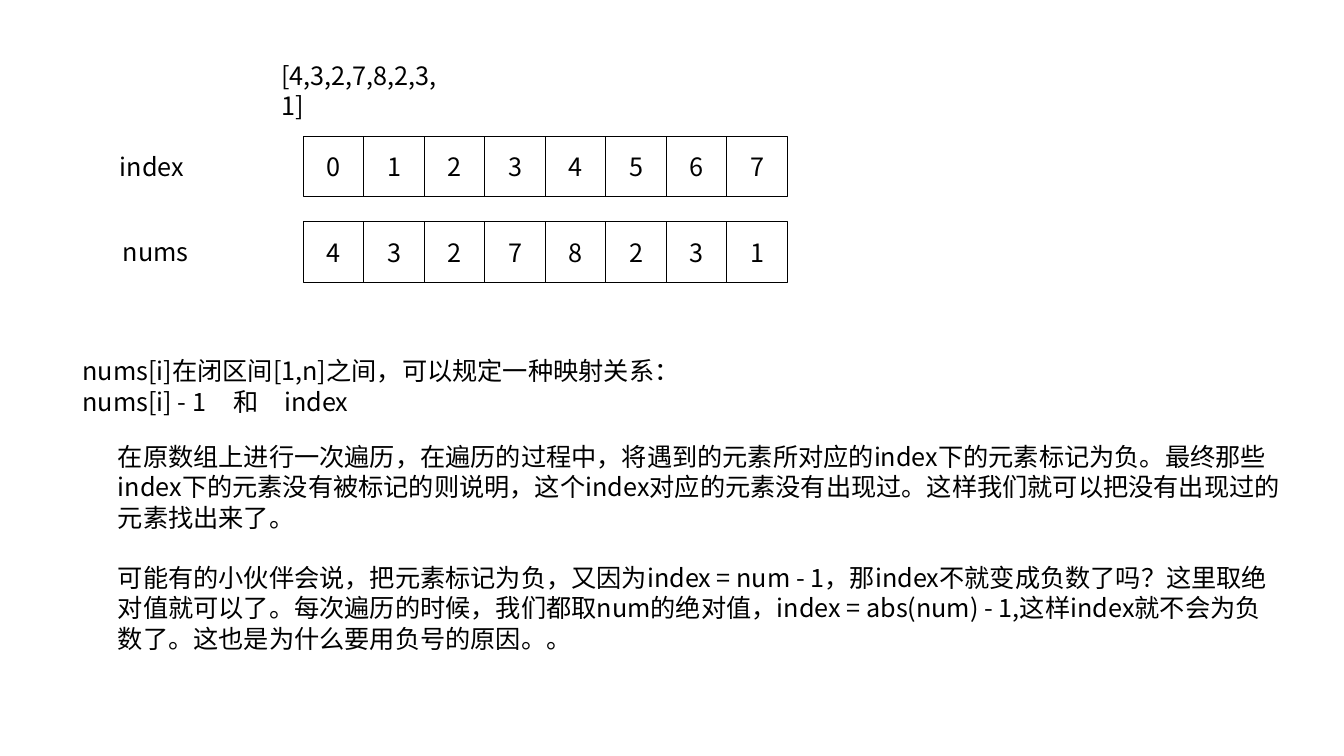
from dataclasses import dataclass

from lxml.etree import SubElement
from pptx import Presentation
from pptx.dml.color import RGBColor
from pptx.enum.shapes import MSO_SHAPE
from pptx.enum.text import MSO_ANCHOR, PP_ALIGN
from pptx.oxml.ns import qn
from pptx.util import Inches, Pt


@dataclass(frozen=True)
class Theme:
    """Colours, font and type sizes of the slide."""
    ink: RGBColor = RGBColor(0, 0, 0)
    font: str = "Noto Sans CJK SC"
    size: Pt = Pt(18)
    leading: Pt = Pt(21.6)
    border: Pt = Pt(0.75)


THEME = Theme()
NUMS = [4, 3, 2, 7, 8, 2, 3, 1]
CELL = 0.6
ARRAY_LEFT = 3.01
INDEX_TOP, NUMS_TOP = 1.35, 2.2

MAPPING = [
    "nums[i]在闭区间[1,n]之间，可以规定一种映射关系：",
    "nums[i] - 1\t和\tindex",
]
EXPLANATION = [
    "在原数组上进行一次遍历，在遍历的过程中，将遇到的元素所对应的index下的元素标记为负。"
    "最终那些index下的元素没有被标记的则说明，这个index对应的元素没有出现过。"
    "这样我们就可以把没有出现过的元素找出来了。",
    "可能有的小伙伴会说，把元素标记为负，又因为index = num - 1，那index不就变成负数了吗？"
    "这里取绝对值就可以了。每次遍历的时候，我们都取num的绝对值，"
    "index = abs(num) - 1,这样index就不会为负数了。这也是为什么要用负号的原因。。",
]


def add_run(paragraph, words):
    """Add one run in the theme's type, for Latin and Chinese alike."""
    paragraph.line_spacing = THEME.leading
    run = paragraph.add_run()
    run.text = words
    run.font.size = THEME.size
    run.font.name = THEME.font
    run.font.color.rgb = THEME.ink
    SubElement(run.font._element, qn("a:ea"), typeface=THEME.font)


def add_tab_stops(paragraph, *stops):
    """Set left tab stops, in inches from the text edge."""
    tabs = SubElement(paragraph._p.get_or_add_pPr(), qn("a:tabLst"))
    for stop in stops:
        SubElement(tabs, qn("a:tab"), pos=str(Inches(stop)), algn="l")


def add_text(slide, left, top, width, height, lines, gap=Pt(0)):
    """Add a wrapping text box with one paragraph per line; return its frame."""
    box = slide.shapes.add_textbox(
        Inches(left), Inches(top), Inches(width), Inches(height))
    frame = box.text_frame
    frame.word_wrap = True
    for number, line in enumerate(lines):
        paragraph = frame.add_paragraph() if number else frame.paragraphs[0]
        if number:
            paragraph.space_before = gap
        add_run(paragraph, line)
    return frame


def add_cell(slide, left, top, value):
    """Add one outlined array cell with its value in the middle."""
    cell = slide.shapes.add_shape(
        MSO_SHAPE.RECTANGLE, Inches(left), Inches(top), Inches(CELL), Inches(CELL))
    cell.shadow.inherit = False
    cell.fill.background()
    cell.line.color.rgb = THEME.ink
    cell.line.width = THEME.border
    frame = cell.text_frame
    frame.vertical_anchor = MSO_ANCHOR.MIDDLE
    frame.paragraphs[0].alignment = PP_ALIGN.CENTER
    add_run(frame.paragraphs[0], str(value))


def add_array(slide, top, values):
    """Add a row of touching cells."""
    for position, value in enumerate(values):
        add_cell(slide, ARRAY_LEFT + position * CELL, top, value)


def main():
    """Build the slide and save it."""
    deck = Presentation()
    deck.slide_width, deck.slide_height = Inches(13.33), Inches(7.5)
    slide = deck.slides.add_slide(deck.slide_layouts[6])

    add_text(slide, 2.69, 0.55, 1.81, 0.4, ["[4,3,2,7,8,2,3,1]"])
    add_array(slide, NUMS_TOP, NUMS)
    add_array(slide, INDEX_TOP, range(len(NUMS)))
    add_text(slide, 1.09, INDEX_TOP + 0.1, 1.46, 0.4, ["index"])
    add_text(slide, 1.12, NUMS_TOP + 0.1, 1.43, 0.4, ["nums"])

    mapping = add_text(slide, 0.72, 3.48, 6.37, 0.71, MAPPING)
    add_tab_stops(mapping.paragraphs[1], 1.5, 2)
    add_text(slide, 1.07, 4.33, 11.75, 2.22, EXPLANATION, gap=THEME.leading)

    deck.save("out.pptx")


main()
